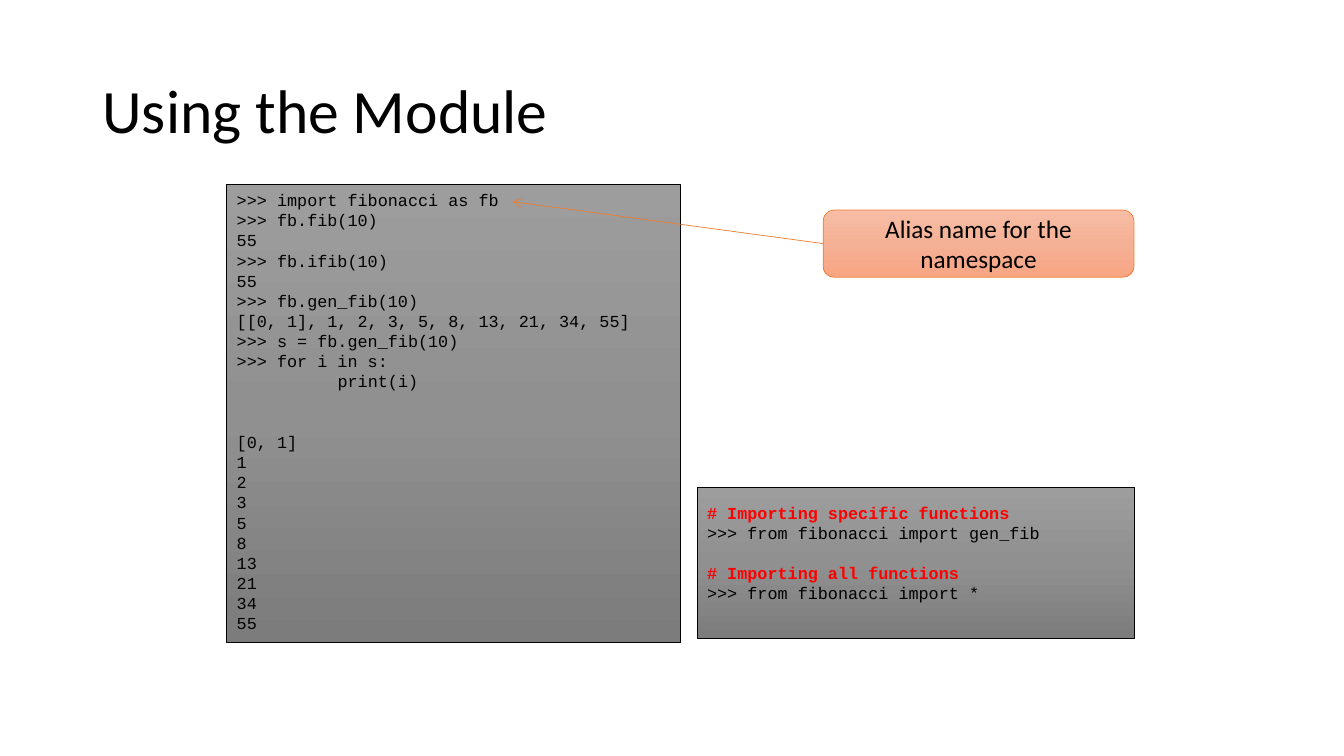
from copy import deepcopy

from lxml import etree
from pptx import Presentation, util as u
from pptx.dml.color import RGBColor
from pptx.enum import shapes, text
from pptx.oxml.ns import qn

HUES = {
    "ink": "000000", "red": "FF0000", "edge": "ED7D31",
    "gray": ("9D9D9D", "909090", "7C7C7C"),
    "peach": ("F7BDA5", "F5B196", "F8A582"),
}
COLS, ROWS = 160, 90  # square grid cells, twelve to the inch
LINE = 14.4  # height of one code line in points

SESSION = """>>> import fibonacci as fb
>>> fb.fib(10)
55
>>> fb.ifib(10)
55
>>> fb.gen_fib(10)
[[0, 1], 1, 2, 3, 5, 8, 13, 21, 34, 55]
>>> s = fb.gen_fib(10)
>>> for i in s:
\tprint(i)


[0, 1]
1
2
3
5
8
13
21
34
55"""

IMPORTS = """# Importing specific functions
>>> from fibonacci import gen_fib

# Importing all functions
>>> from fibonacci import *"""


def color(name):
    return RGBColor.from_string(HUES[name])


class Deck:
    """Holds the style and the current slide."""

    def __init__(self):
        self.prs = Presentation()
        self.prs.slide_width = u.Inches(13.33)
        self.prs.slide_height = u.Inches(7.5)
        self.slide = self.prs.slides.add_slide(self.prs.slide_layouts[5])

    def grid(self, col, row):
        return (int(self.prs.slide_width * col / COLS),
                int(self.prs.slide_height * row / ROWS))

    def font(self, para, size, face="Calibri", hue="ink", bold=False):
        font = para.font
        font.size, font.name, font.bold = u.Pt(size), face, bold
        font.color.rgb = color(hue)

    def title(self, words, at, size):
        shape = self.slide.shapes.title
        shape.left, shape.top = self.grid(*at)
        shape.width, shape.height = self.grid(*size)
        frame = shape.text_frame
        frame.text = words
        frame.auto_size = text.MSO_AUTO_SIZE.NONE
        frame.vertical_anchor = text.MSO_ANCHOR.MIDDLE
        para = frame.paragraphs[0]
        para.alignment, para.line_spacing = text.PP_ALIGN.LEFT, 0.9
        self.font(para, 44)

    def panel(self, kind, at, size, shades, edge):
        shape = self.slide.shapes.add_shape(
            kind, *self.grid(*at), *self.grid(*size))
        shape.shadow.inherit = False
        shape.line.color.rgb = color(edge)
        shape.line.width = u.Pt(0.5)
        # Three shades from top to bottom
        shape.fill.gradient()
        shape.fill.gradient_angle = 270
        stops = shape.element.spPr.find(".//" + qn("a:gsLst"))
        stops.insert(1, deepcopy(stops[0]))
        for i, stop in enumerate(shape.fill.gradient_stops):
            stop.position = i / 2
            stop.color.rgb = RGBColor.from_string(HUES[shades][i])
        shape.text_frame.word_wrap = True
        return shape.text_frame

    def code(self, source, at, size, inset=0.05):
        frame = self.panel(shapes.MSO_SHAPE.RECTANGLE, at, size, "gray", "ink")
        frame.vertical_anchor = text.MSO_ANCHOR.TOP
        frame.margin_top = u.Inches(inset)
        para, gap = frame.paragraphs[0], 0
        for i, line in enumerate(source.split("\n")):
            if not line:
                gap += LINE
                continue
            if i:
                para = frame.add_paragraph()
            para.text = line
            para.alignment = text.PP_ALIGN.LEFT
            if gap:
                para.space_before, gap = u.Pt(gap), 0
            if line.startswith("\t"):
                tabs = etree.SubElement(
                    para._p.get_or_add_pPr(), qn("a:tabLst"))
                etree.SubElement(tabs, qn("a:tab"),
                                 pos=str(u.Inches(1)), algn="l")
            note = line.startswith("#")
            self.font(para, 12, "Courier New", "red" if note else "ink", note)

    def label(self, words, at, size):
        frame = self.panel(shapes.MSO_SHAPE.ROUNDED_RECTANGLE,
                           at, size, "peach", "edge")
        frame.text = words
        frame.vertical_anchor = text.MSO_ANCHOR.MIDDLE
        para = frame.paragraphs[0]
        para.alignment = text.PP_ALIGN.CENTER
        self.font(para, 18)

    def arrow(self, start, end):
        line = self.slide.shapes.add_connector(
            shapes.MSO_CONNECTOR.STRAIGHT, *self.grid(*start), *self.grid(*end))
        line.line.color.rgb = color("edge")
        line.line.width = u.Pt(0.5)
        etree.SubElement(line.line._get_or_add_ln(), qn("a:tailEnd"),
                         type="arrow")
        etree.SubElement(line.element.spPr, qn("a:effectLst"))


def main():
    deck = Deck()
    deck.title("Using the Module", (11, 4.8), (138, 17.4))

    # Interactive session with its alias callout
    deck.code(SESSION, (27, 22), (54, 54.5))
    deck.label("Alias name for the namespace", (98, 25), (37, 8))
    deck.arrow((98, 29), (61, 24))

    # Other ways to import
    deck.code(IMPORTS, (83, 58), (52, 18), inset=0.15)

    deck.prs.save("out.pptx")


if __name__ == "__main__":
    main()
